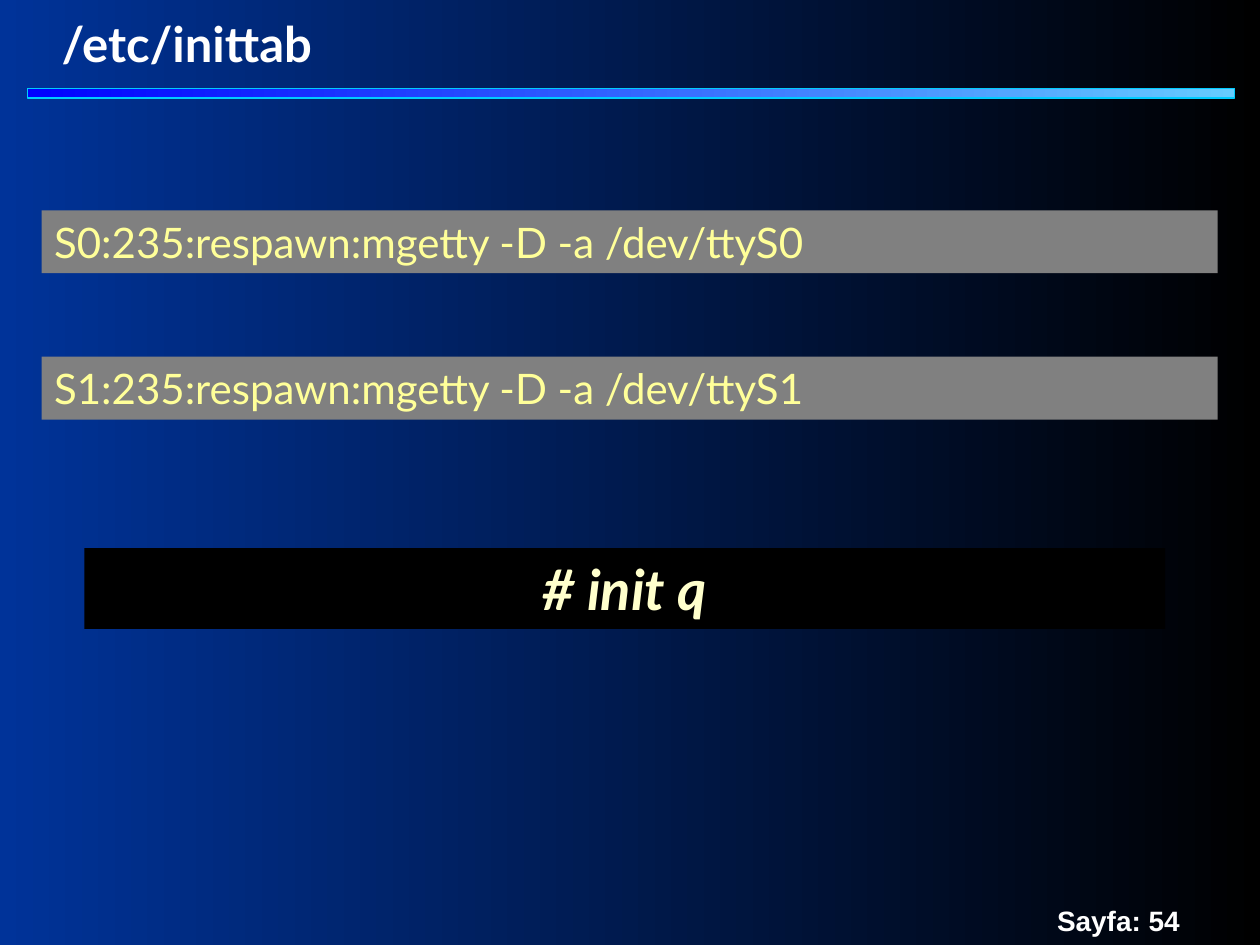
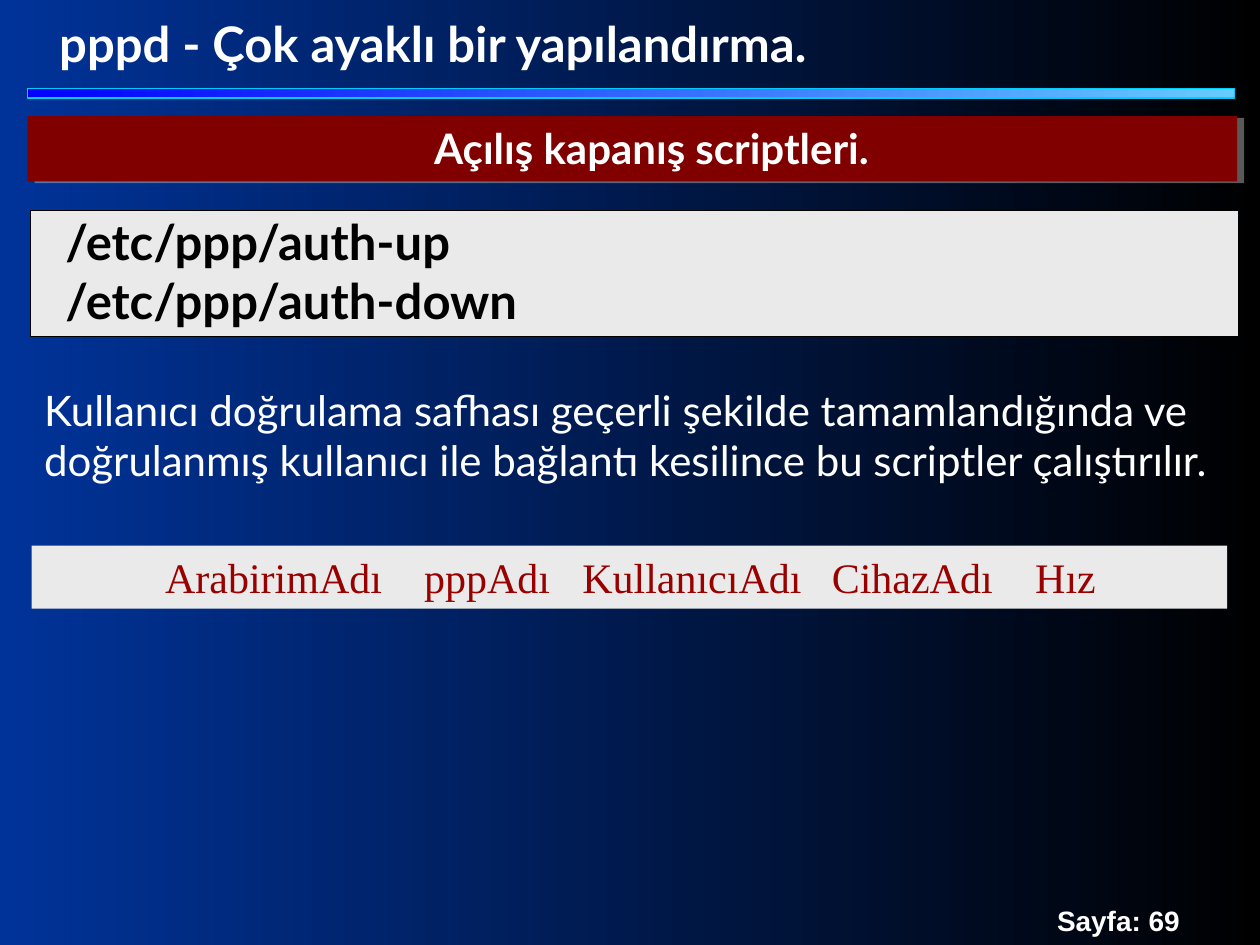
"""Build two slides on dial-in terminal lines and pppd scripts."""
from lxml import etree
from pptx import Presentation
from pptx.dml.color import RGBColor
from pptx.enum.shapes import MSO_SHAPE
from pptx.enum.text import MSO_ANCHOR, MSO_AUTO_SIZE, PP_ALIGN
from pptx.oxml.ns import qn
from pptx.util import Cm, Pt

RECTANGLE = MSO_SHAPE.RECTANGLE
LEFT, CENTER = PP_ALIGN.LEFT, PP_ALIGN.CENTER
TOP, MIDDLE = MSO_ANCHOR.TOP, MSO_ANCHOR.MIDDLE
NO_AUTOFIT = MSO_AUTO_SIZE.NONE
TITLE_ONLY = 5

COLORS = {
    "black": "000000", "navy": "003399", "white": "FFFFFF",
    "sky": "66CCFF", "blue": "0000FF", "cyan": "00CCFF",
    "grey": "808080", "silver": "EAEAEA", "shade": "B2B2B2",
    "maroon": "800000", "red": "990000",
    "yellow": "FFFF99", "cream": "FFFFCC",
}

STYLES = {
    "title": ("white", LEFT, TOP, {"name": "Lato", "size": Pt(28), "bold": True}),
    "page": ("white", LEFT, TOP, {"name": "Arial", "size": Pt(16), "bold": True}),
    "config": ("yellow", LEFT, MIDDLE, {"name": "Lato", "size": Pt(24)}),
    "command": ("cream", CENTER, MIDDLE,
                {"name": "Lato", "size": Pt(32), "bold": True, "italic": True}),
    "heading": ("white", CENTER, TOP, {"name": "Lato", "size": Pt(24), "bold": True}),
    "scripts": ("black", LEFT, MIDDLE, {"name": "Lato", "size": Pt(28), "bold": True}),
    "body": ("white", LEFT, TOP, {"name": "Lato", "size": Pt(24)}),
    "arguments": ("red", LEFT, MIDDLE, {"name": "Times New Roman", "size": Pt(24)}),
}

INITTAB = {
    "title": "/etc/inittab", "title_place": (0.99, 0.15, 6.17, 1.45), "page": 54,
    "lines": ["S0:235:respawn:mgetty -D -a /dev/ttyS0",
              "S1:235:respawn:mgetty -D -a /dev/ttyS1"],
    "command": "# init q",
}
PPPD = {
    "title": "pppd - Çok ayaklı bir yapılandırma.",
    "title_place": (0.94, 0.15, 17.63, 1.45), "page": 69,
    "heading": "Açılış kapanış scriptleri.",
    "scripts": ["/etc/ppp/auth-up", "/etc/ppp/auth-down"],
    "body": "Kullanıcı doğrulama safhası geçerli şekilde tamamlandığında ve "
            "doğrulanmış kullanıcı ile bağlantı kesilince bu scriptler çalıştırılır.",
    "arguments": ["ArabirimAdı", "pppAdı", "KullanıcıAdı", "CihazAdı", "Hız"],
}

PAGE_PLACE = (21.06, 18.08, 5.08, 0.94)
BAND_PLACE = (0.56, 1.78, 24.33, 0.2)
LINE_PLACE, LINE_STEP = (0.84, 4.24, 23.71, 1.27), 2.95
COMMAND_PLACE = (1.7, 11.05, 21.79, 1.63)
BANNER_PLACE = (0.56, 2.34, 24.38, 1.32)
HEADING_PLACE = (3.61, 2.34, 19.05, 1.27)
PANEL_PLACE = (0.61, 4.24, 24.36, 2.54)
SCRIPTS_PLACE = (1.07, 4.14, 20.12, 2.64)
BODY_PLACE = (0.64, 7.62, 24.33, 3.3)
ARGUMENTS_PLACE = (0.64, 11, 24.1, 1.27)
ARGUMENTS_INSET, ARGUMENT_TABS = 2.69, (5.22, 8.41, 13.44, 17.54)


def rgb(color):
    return RGBColor.from_string(COLORS[color])


def cm(place):
    return [Cm(length) for length in place]


def paint_gradient(fill, *colors):
    fill.gradient()
    fill.gradient_angle = 180
    for position, (stop, color) in enumerate(zip(fill.gradient_stops, colors)):
        stop.position = position
        stop.color.rgb = rgb(color)


def write(shape, text, style, wrap=True):
    color, alignment, anchor, font = STYLES[style]
    frame = shape.text_frame
    frame.text = text
    frame_format = {"word_wrap": wrap, "auto_size": NO_AUTOFIT, "vertical_anchor": anchor}
    for key, value in frame_format.items():
        setattr(frame, key, value)
    for paragraph in frame.paragraphs:
        paragraph.alignment = alignment
        for run in paragraph.runs:
            for key, value in font.items():
                setattr(run.font, key, value)
            run.font.color.rgb = rgb(color)
    return frame


def add_text(slide, place, text, style):
    write(slide.shapes.add_textbox(*cm(place)), text, style)


def add_bar(slide, place, fill=None, line=None):
    bar = slide.shapes.add_shape(RECTANGLE, *cm(place))
    bar.shadow.inherit = False
    if fill:
        bar.fill.solid()
        bar.fill.fore_color.rgb = rgb(fill)
    if line:
        bar.line.color.rgb = rgb(line)
        bar.line.width = Pt(0.75)
    else:
        bar.line.fill.background()
    return bar


def cast_shadow(shape):
    effects = shape.element.spPr.find(qn("a:effectLst"))
    shadow = etree.SubElement(effects, qn("a:outerShdw"), blurRad="0",
                              dist=str(Pt(4.1)), dir=str(14 * 60000), rotWithShape="0")
    tint = etree.SubElement(shadow, qn("a:srgbClr"), val=COLORS["shade"])
    etree.SubElement(tint, qn("a:alpha"), val="50000")


def set_tabs(paragraph, stops):
    tabs = etree.SubElement(paragraph._p.get_or_add_pPr(), qn("a:tabLst"))
    for stop in stops:
        etree.SubElement(tabs, qn("a:tab"), pos=str(Cm(stop)), algn="l")


def add_page(deck, content):
    slide = deck.slides.add_slide(deck.slide_layouts[TITLE_ONLY])
    title = slide.shapes.title
    title.left, title.top, title.width, title.height = cm(content["title_place"])
    write(title, content["title"], "title", wrap=False)
    add_text(slide, PAGE_PLACE, f"Sayfa: {content['page']}", "page")
    band = add_bar(slide, BAND_PLACE, line="cyan")
    paint_gradient(band.fill, "sky", "blue")
    return slide


def build_inittab(deck):
    slide = add_page(deck, INITTAB)
    left, top, width, height = LINE_PLACE
    for row, line in enumerate(INITTAB["lines"]):
        place = (left, top + row * LINE_STEP, width, height)
        write(add_bar(slide, place, "grey"), line, "config")
    write(add_bar(slide, COMMAND_PLACE, "black"), INITTAB["command"], "command")


def build_pppd(deck):
    slide = add_page(deck, PPPD)
    add_text(slide, BODY_PLACE, PPPD["body"], "body")
    cast_shadow(add_bar(slide, BANNER_PLACE, "maroon"))
    add_text(slide, HEADING_PLACE, PPPD["heading"], "heading")
    add_bar(slide, PANEL_PLACE, "silver", "black")
    add_text(slide, SCRIPTS_PLACE, "\n".join(PPPD["scripts"]), "scripts")
    arguments = write(add_bar(slide, ARGUMENTS_PLACE, "silver"),
                      "\t".join(PPPD["arguments"]), "arguments")
    arguments.margin_left = Cm(ARGUMENTS_INSET)
    set_tabs(arguments.paragraphs[0], ARGUMENT_TABS)


def main():
    deck = Presentation()
    deck.slide_width, deck.slide_height = Cm(25.4), Cm(19.05)
    paint_gradient(deck.slide_master.background.fill, "black", "navy")
    build_inittab(deck)
    build_pppd(deck)
    deck.save("out.pptx")


if __name__ == "__main__":
    main()
